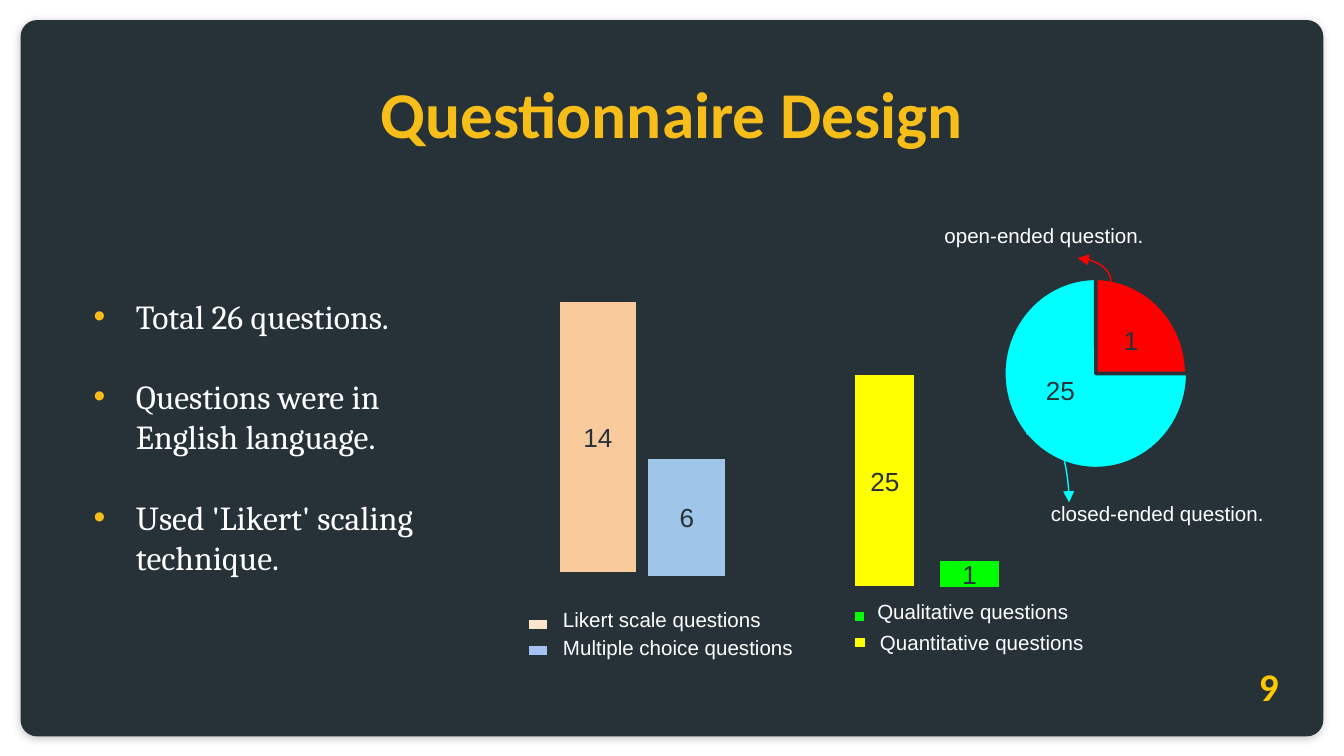
"""Build the Questionnaire Design slide."""
from lxml.etree import SubElement
from pptx import Presentation
from pptx.dml.color import RGBColor
from pptx.enum.shapes import MSO_CONNECTOR, MSO_SHAPE
from pptx.enum.text import MSO_ANCHOR, PP_ALIGN
from pptx.oxml.ns import qn
from pptx.util import Cm, Pt

HUES = {
    "dark": "263238", "white": "FFFFFF", "gold": "F7BD18", "amber": "FFC800",
    "red": "FF0000", "cyan": "00FFFF", "yellow": "FFFF00", "green": "00FF00",
    "peach": "F9CB9C", "blue": "9FC5E8", "cream": "FCE5CD", "sky": "A4C2F4",
}

deck = Presentation()
deck.slide_width, deck.slide_height = Cm(25.4), Cm(14.29)
slide = deck.slides.add_slide(deck.slide_layouts[6])
shapes = slide.shapes


def draw(kind, place, fill, edge="dark", label=""):
    """Add a filled shape with an optional centred number."""
    shape = shapes.add_shape(kind, *map(Cm, place))
    shape.shadow.inherit = False
    shape.fill.solid()
    shape.fill.fore_color.rgb = RGBColor.from_string(HUES[fill])
    shape.line.color.rgb = RGBColor.from_string(HUES[edge])
    shape.line.width = Pt(2)
    if label:
        frame = shape.text_frame
        frame.text = label
        frame.word_wrap = True
        frame.vertical_anchor = MSO_ANCHOR.MIDDLE
        frame.paragraphs[0].alignment = PP_ALIGN.CENTER
        font = frame.paragraphs[0].runs[0].font
        font.size, font.name = Pt(14), "Arial"
        font.color.rgb = RGBColor.from_string(HUES["dark"])
    return shape


def write(text, place, size=11, face="Arial", hue="white", bold=False):
    """Add a text box; bold text is centred with even insets."""
    frame = shapes.add_textbox(*map(Cm, place)).text_frame
    frame.word_wrap = True
    frame.text = text
    if bold:
        frame.margin_top = frame.margin_bottom = Cm(0.25)
    for para in frame.paragraphs:
        para.alignment = PP_ALIGN.CENTER if bold else PP_ALIGN.LEFT
        font = para.runs[0].font
        font.size, font.name, font.bold = Pt(size), face, bold
        font.color.rgb = RGBColor.from_string(HUES[hue])
    return frame


panel = draw(MSO_SHAPE.ROUNDED_RECTANGLE, (0.39, 0.38, 24.62, 13.54), "dark")
panel.adjustments[0] = 0.023
panel.line.fill.background()
effects = panel._element.spPr.find(qn("a:effectLst"))
shade = SubElement(effects, qn("a:outerShdw"), blurRad="57150", dist="19050",
                   dir="5400000", algn="bl", rotWithShape="0")
black = SubElement(shade, qn("a:srgbClr"), val="000000")
SubElement(black, qn("a:alpha"), val="24000")

write("Questionnaire Design", (1.27, 1.14, 22.86, 1.68), 35, "Calibri", "gold", True)
write("9", (22.99, 12.27, 1.98, 1.42), 21, "Calibri", "amber", True)

points = [
    "Total 26 questions.",
    "Questions were in English language.",
    "Used 'Likert' scaling technique.",
]
body = write("\n".join(points), (1.52, 5.46, 7.8, 6.4), 18, "Cambria")
for rank, para in enumerate(body.paragraphs):
    if rank:
        para.space_before = Pt(21.5)
    props = para._p.get_or_add_pPr()
    props.set("marL", str(Cm(0.8)))
    props.set("indent", str(-Cm(0.8)))
    tint = SubElement(props, qn("a:buClr"))
    SubElement(tint, qn("a:srgbClr"), val=HUES["gold"])
    SubElement(props, qn("a:buFont"), typeface="Arial")
    SubElement(props, qn("a:buChar"), char="•")

bars = [
    ("14", "peach", (10.54, 5.67, 1.52, 5.18)),
    ("6", "blue", (12.22, 8.64, 1.52, 2.28)),
    ("25", "yellow", (16.13, 7.06, 1.19, 4.06)),
    ("1", "green", (17.73, 10.57, 1.19, 0.56)),
]
for count, hue, place in bars:
    draw(MSO_SHAPE.RECTANGLE, place, hue, label=count)

keys = [
    ("Likert scale questions", "cream", (9.96, 11.68, 0.41), (10.39, 11.35)),
    ("Multiple choice questions", "sky", (9.96, 12.17, 0.41), (10.39, 11.88)),
    ("Qualitative questions", "green", (16.13, 11.53, 0.24), (16.33, 11.2)),
    ("Quantitative questions", "yellow", (16.13, 12.02, 0.25), (16.38, 11.78)),
]
for name, hue, mark, spot in keys:
    draw(MSO_SHAPE.RECTANGLE, (*mark, 0.25), hue)
    write(name, (*spot, 5.4, 0.74))

draw(MSO_SHAPE.OVAL, (18.95, 5.26, 3.48, 3.6), "red")
pie = draw(MSO_SHAPE.PIE, (18.97, 5.26, 3.48, 3.6), "cyan")
pie.adjustments[0], pie.adjustments[1] = 0, 162
draw(MSO_SHAPE.RECTANGLE, (19.43, 6.58, 1.22, 1.6), "cyan", "cyan", "25")
draw(MSO_SHAPE.RECTANGLE, (20.96, 5.97, 0.84, 0.91), "red", "red", "1")

arrows = [
    ("red", (21.62, 5.78, 20.37, 4.88), 0),
    ("cyan", (21.11, 7.78, 18.49, 8.59), 270),
]
for hue, ends, turn in arrows:
    arrow = shapes.add_connector(MSO_CONNECTOR.CURVE, *map(Cm, ends))
    arrow.line.color.rgb = RGBColor.from_string(HUES[hue])
    arrow.line.width = Pt(0.75)
    props = arrow._element.spPr
    props.find(qn("a:xfrm")).set("rot", str(turn * 60000))
    SubElement(props.find(qn("a:ln")), qn("a:tailEnd"), type="triangle")
    SubElement(props, qn("a:effectLst"))

write("open-ended question.", (17.6, 4.09, 5.46, 0.74))
write("closed-ended question.", (19.61, 9.35, 5.46, 0.74))

deck.save("out.pptx")
